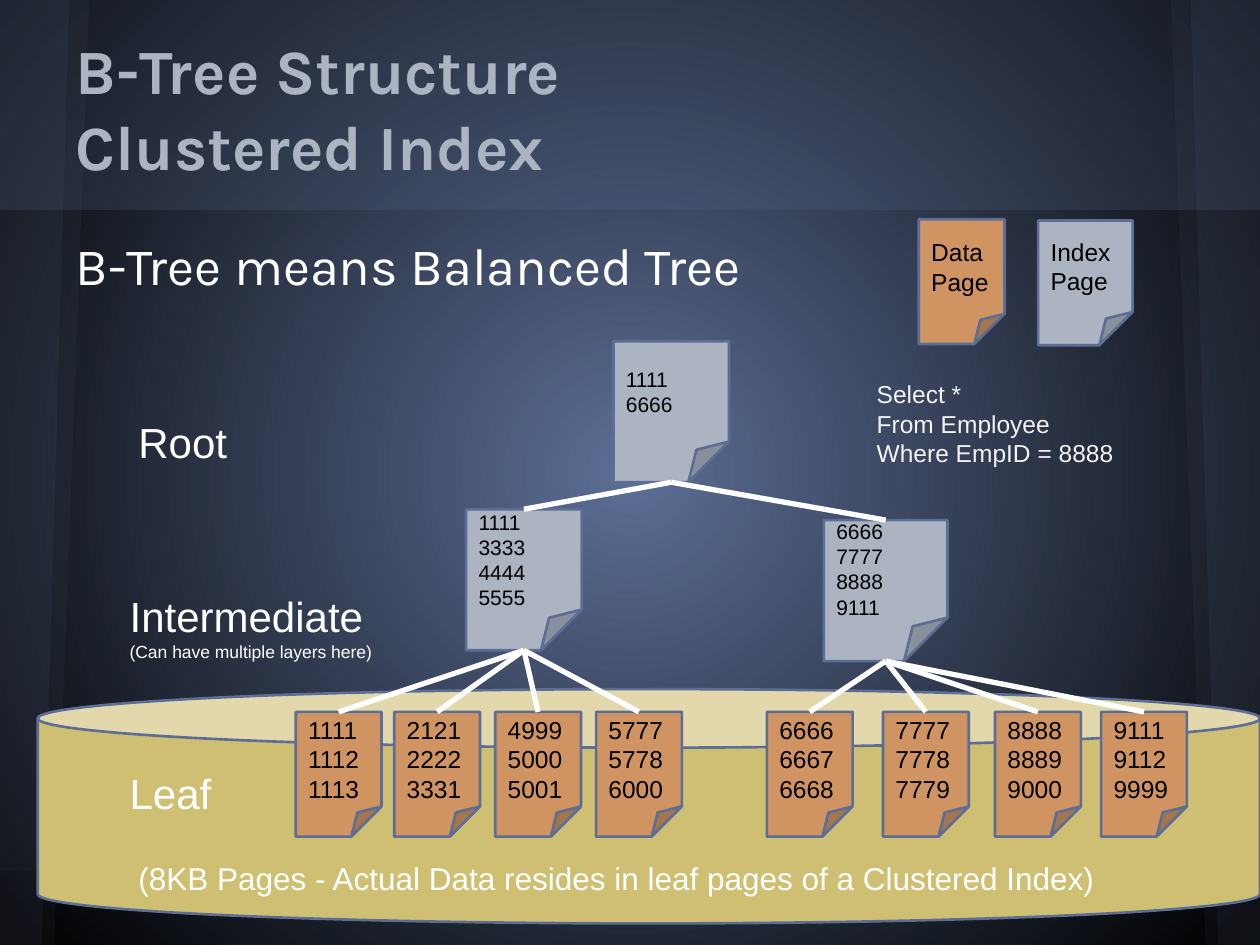
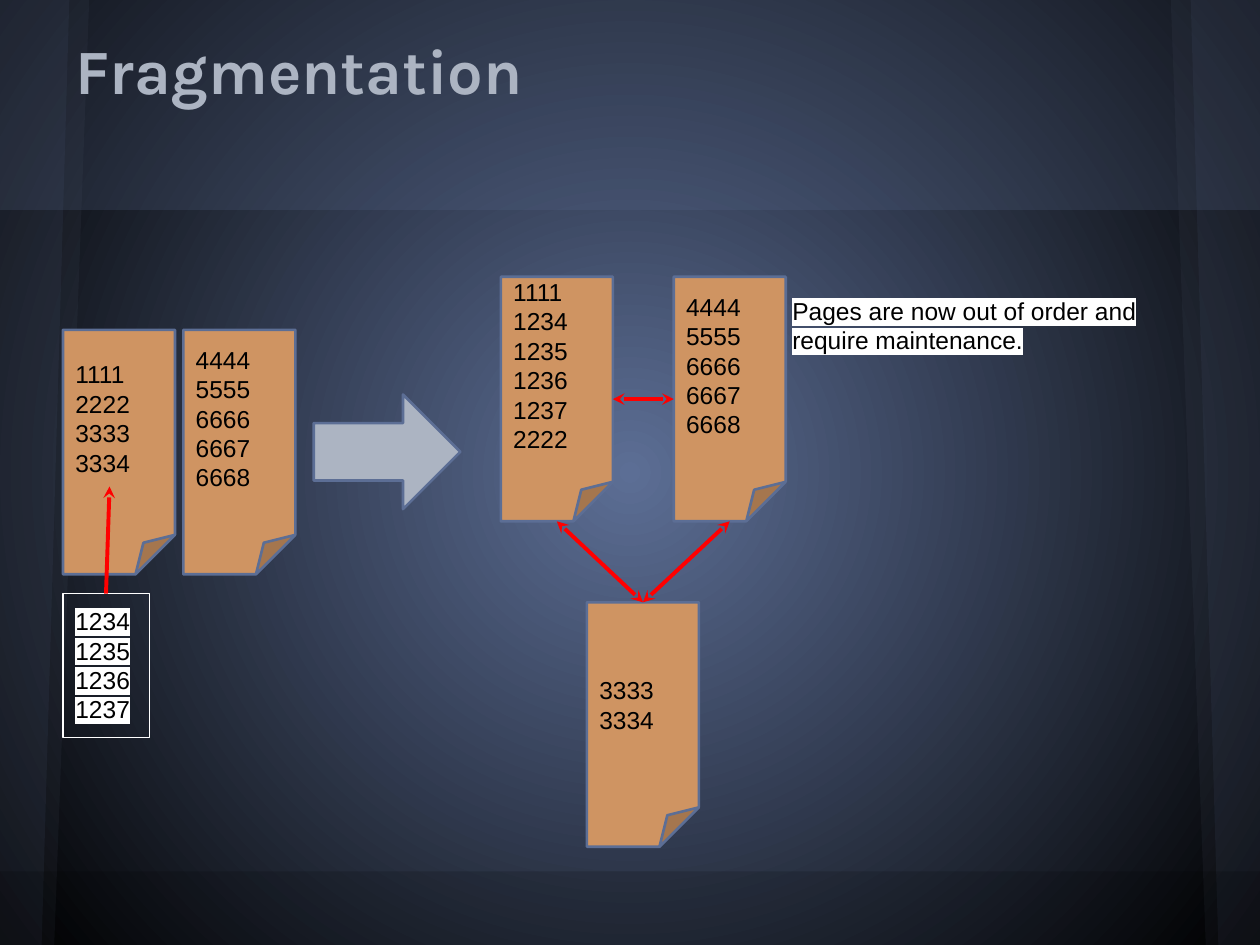
from lxml.etree import SubElement
from pptx import Presentation
from pptx.dml.color import RGBColor as Rgb
from pptx.enum.shapes import MSO_CONNECTOR as Link, MSO_SHAPE as Kind
from pptx.enum.text import MSO_ANCHOR as Anchor, MSO_AUTO_SIZE as Fit, PP_ALIGN as Align
from pptx.oxml.ns import qn
from pptx.util import Pt

BLUE = Rgb(0x5C, 0x6E, 0x95)
SLATE = Rgb(0x5A, 0x63, 0x78)
SILVER = Rgb(0xAC, 0xB4, 0xC2)
COPPER = Rgb(0xCF, 0x94, 0x62)
SAND = Rgb(0xCF, 0xBF, 0x73)
PALE = Rgb(0xF3, 0xF3, 0xF3)
WHITE = Rgb(0xFF, 0xFF, 0xFF)
BLACK = Rgb(0, 0, 0)
RED = Rgb(0xFF, 0, 0)

WIDE, HIGH = 720, 540
INSET = 7.2
LINE = 16.1  # height of a 14 pt line

# Shared backdrop: outline, colour, opacity in percent
BANDS = [
    ([(0, 0), (WIDE, 0), (WIDE, 120), (0, 120)], BLUE, 20),
    ([(0, 0), (51, 0), (31, HIGH), (0, HIGH)], SLATE, 10),
    ([(0, 0), (39.6, 0), (23.8, HIGH), (0, HIGH)], BLUE, 10),
    ([(WIDE, 0), (669, 0), (689, HIGH), (WIDE, HIGH)], SLATE, 10),
    ([(WIDE, 0), (680.4, 0), (696.2, HIGH), (WIDE, HIGH)], BLUE, 10),
    ([(0, 498), (WIDE, 498), (WIDE, HIGH), (0, HIGH)], BLACK, 15),
]

# Slide 1: the tree, with boxes as left, top, width, height
DISK = (21.6, 393.8, 698.4, 133.9)
ROOT = ("1111 6666", (350.6, 195, 66, 80.6))
LEAF_TOP, LEAF_W, LEAF_H = 406.8, 49, 71.3
BRANCHES = [
    ("1111 3333 4444 5555", (266.4, 291, 66, 80.6), [
        ("1111 1112 1113", 169), ("2121 2222 3331", 225.3),
        ("4999 5000 5001", 283), ("5777 5778 6000", 340.6)]),
    ("6666 7777 8888 9111", (470.8, 297.2, 70.6, 80.6), [
        ("6666 6667 6668", 438.2), ("7777 7778 7779", 504.6),
        ("8888 8889 9000", 568.6), ("9111 9112 9999", 629.2)]),
]
LEGEND = [
    ("Data Page", (525, 125.3, 49, 71.3), COPPER),
    ("Index Page", (593.2, 126, 54, 71.3), SILVER),
]
# Lines with their sizes, then box and colour
LABELS = [
    ([("Root", 24)], (72, 231, 158, 36), WHITE),
    ([("Intermediate", 24), ("(Can have multiple layers here)", 10)],
     (67, 330.5, 158, 36), WHITE),
    ([("Leaf", 24)], (67, 431.3, 70, 36), WHITE),
    ([("(8KB Pages - Actual Data resides in leaf pages of a Clustered Index)", 18)],
     (72, 483.8, 661, 36), WHITE),
    ([("Select *", 14), ("From Employee", 14), ("Where EmpID = 8888", 14)],
     (493.9, 209.5, 199.4, 76), PALE),
]

# Slide 2: page contents, left, top, room kept free below the text
SPLIT_W, SPLIT_H = 64, 139.7
OLD = [
    ("1111 2222 3333 3334", 36, 188.5, LINE),
    ("4444 5555 6666 6667 6668", 104.8, 188.5, LINE),
]
NEW = [
    ("1111 1234 1235 1236 1237 2222", 286.2, 158.2, LINE),
    ("4444 5555 6666 6667 6668", 385, 158.2, LINE),
    ("3333 3334", 335.4, 344.2, 0),
]
ADDED = ("1234 1235 1236 1237", (36, 339.2, 49.5, 82.5))
INSERT = ((60.6, 339.2), (62.6, 278))
ARROW = (179.3, 225.4, 83.8, 65.5)
NOTE = ("Pages are now out of order and require maintenance.", (445.7, 162, 213.8, 31.7))


def pts(nums):
    return [Pt(n) for n in nums]


def style(par, size, color, face="Arial", bold=False):
    font = par.font
    font.name, font.size, font.bold = face, Pt(size), bold
    font.color.rgb = color
    par.alignment = Align.LEFT


def frame(shape, anchor=Anchor.TOP, top=INSET, bottom=INSET):
    box = shape.text_frame
    box.word_wrap, box.auto_size = True, Fit.NONE
    box.vertical_anchor = anchor
    box.margin_left = box.margin_right = Pt(INSET)
    box.margin_top, box.margin_bottom = Pt(top), Pt(bottom)
    return box


def place(shape, box):
    shape.left, shape.top, shape.width, shape.height = pts(box)


def solid(slide, kind, box, fill):
    shape = slide.shapes.add_shape(kind, *pts(box))
    shape.shadow.inherit = False
    shape.fill.solid()
    shape.fill.fore_color.rgb = fill
    shape.line.color.rgb = BLUE
    shape.line.width = Pt(1.5)
    return shape


def fold(shape):
    """Set the corner size, which python-pptx does not list for this shape."""
    guides = shape.element.spPr.find(".//" + qn("a:avLst"))
    for guide in list(guides):
        guides.remove(guide)
    SubElement(guides, qn("a:gd"), name="adj", fmla="val 35200")


def page(slide, words, box, fill, size=14, below=0):
    """Folded page with one word a line."""
    shape = solid(slide, Kind.FOLDED_CORNER, box, fill)
    fold(shape)
    text = frame(shape, Anchor.MIDDLE, 0, below)
    text.text = "\n".join(words.split())
    for par in text.paragraphs:
        style(par, size, BLACK)


def label(slide, lines, box, color):
    shape = slide.shapes.add_textbox(*pts(box))
    text = frame(shape)
    text.text = "\n".join(line for line, _ in lines)
    for par, (_, size) in zip(text.paragraphs, lines):
        style(par, size, color)
    return shape


def mark(shape):
    """Put a white highlight behind each run."""
    for par in shape.text_frame.paragraphs:
        for run in par.runs:
            run.font.color.rgb = BLACK
            fill = run.font._element.find(qn("a:solidFill"))
            tone = fill.makeelement(qn("a:highlight"))
            SubElement(tone, qn("a:srgbClr"), val=str(WHITE))
            fill.addnext(tone)


def link(slide, start, end, color, width, tips=()):
    line = slide.shapes.add_connector(Link.STRAIGHT, *pts(start + end))
    line.line.color.rgb = color
    line.line.width = Pt(width)
    props = line.element.spPr
    for tip in tips:
        SubElement(props.find(qn("a:ln")), qn("a:" + tip), type="stealth")
    SubElement(props, qn("a:effectLst"))


def spot(box, across, down):
    """Point at the given shares of a box's width and height."""
    left, top, width, height = box
    return left + across * width, top + down * height


def dress(master, slide):
    """Give the master its glow and bands, outlined first on a slide."""
    fill = master.background.fill
    fill.gradient()
    for stop, color, pos in zip(fill.gradient_stops, (BLUE, BLACK), (0, 1)):
        stop.color.rgb, stop.position = color, pos
    grad = master.element.find(".//" + qn("a:gradFill"))
    grad.remove(grad.find(qn("a:lin")))
    glow = SubElement(grad, qn("a:path"), path="circle")
    SubElement(glow, qn("a:fillToRect"), {side: "50000" for side in "ltrb"})

    for i, (outline, color, alpha) in enumerate(BANDS):
        first, *rest = [pts(point) for point in outline]
        pen = slide.shapes.build_freeform(*first)
        pen.add_line_segments(rest)
        band = pen.convert_to_shape()
        band.shadow.inherit = False
        band.fill.solid()
        band.fill.fore_color.rgb = color
        tone = band.element.spPr.find(".//" + qn("a:srgbClr"))
        SubElement(tone, qn("a:alpha"), val=str(alpha * 1000))
        band.line.fill.background()
        band.element.find(".//" + qn("p:cNvPr")).set("id", str(100 + i))
        master.shapes.element.insert(2 + i, band.element)


def head(slide, words, height):
    title = slide.shapes.title
    place(title, (36, 21.6, 648, height))
    text = frame(title, Anchor.BOTTOM)
    text.text = words
    for par in text.paragraphs:
        style(par, 36, SILVER, "Karla", True)


def lead(slide, words):
    body = slide.placeholders[1]
    place(body, (36, 126, 648, 315.4))
    text = frame(body)
    text.text = words
    par = text.paragraphs[0]
    style(par, 30, WHITE, "Karla")
    par.space_before = Pt(6)
    props = body.element.find(".//" + qn("a:pPr"))
    props.set("marL", "0")
    props.set("indent", "0")
    props.find(qn("a:defRPr")).addprevious(props.makeelement(qn("a:buNone")))


def tree(slide):
    head(slide, "B-Tree Structure\nClustered Index", 90)
    lead(slide, "B-Tree means Balanced Tree")
    solid(slide, Kind.CAN, DISK, SAND)
    words, root = ROOT
    page(slide, words, root, SILVER, 12)
    joins = []
    for words, box, leaves in BRANCHES:
        page(slide, words, box, SILVER, 12)
        joins.append((root, box))
        for text, left in leaves:
            leaf = (left, LEAF_TOP, LEAF_W, LEAF_H)
            page(slide, text, leaf, COPPER)
            joins.append((box, leaf))
    for upper, lower in joins:
        link(slide, spot(upper, 0.5, 1), spot(lower, 0.5, 0), WHITE, 3)
    for words, box, fill in LEGEND:
        page(slide, words, box, fill)
    for lines, box, color in LABELS:
        label(slide, lines, box, color)


def split(slide):
    head(slide, "Fragmentation", 46.8)
    for words, left, top, below in OLD + NEW:
        page(slide, words, (left, top, SPLIT_W, SPLIT_H), COPPER, below=below)
    words, box = ADDED
    added = label(slide, [(word, 14) for word in words.split()], box, BLACK)
    added.line.color.rgb = WHITE
    added.line.width = Pt(0.75)
    words, box = NOTE
    for shape in (added, label(slide, [(words, 14)], box, BLACK)):
        mark(shape)
    solid(slide, Kind.RIGHT_ARROW, ARROW, SILVER)

    link(slide, *INSERT, RED, 2.25, ["tailEnd"])
    first, second, third = [(left, top, SPLIT_W, SPLIT_H) for _, left, top, _ in NEW]
    pairs = [
        (spot(third, 0.5, 0), spot(first, 0.5, 1)),
        (spot(third, 0.5, 0), spot(second, 0.5, 1)),
        (spot(second, 0, 0.5), spot(first, 1, 0.5)),
    ]
    for start, end in pairs:
        link(slide, start, end, RED, 2.25, ["headEnd", "tailEnd"])


def main():
    deck = Presentation()
    deck.slide_width, deck.slide_height = Pt(WIDE), Pt(HIGH)
    first = deck.slides.add_slide(deck.slide_layouts[1])
    dress(deck.slide_master, first)
    tree(first)
    split(deck.slides.add_slide(deck.slide_layouts[5]))
    deck.save("out.pptx")


if __name__ == "__main__":
    main()
